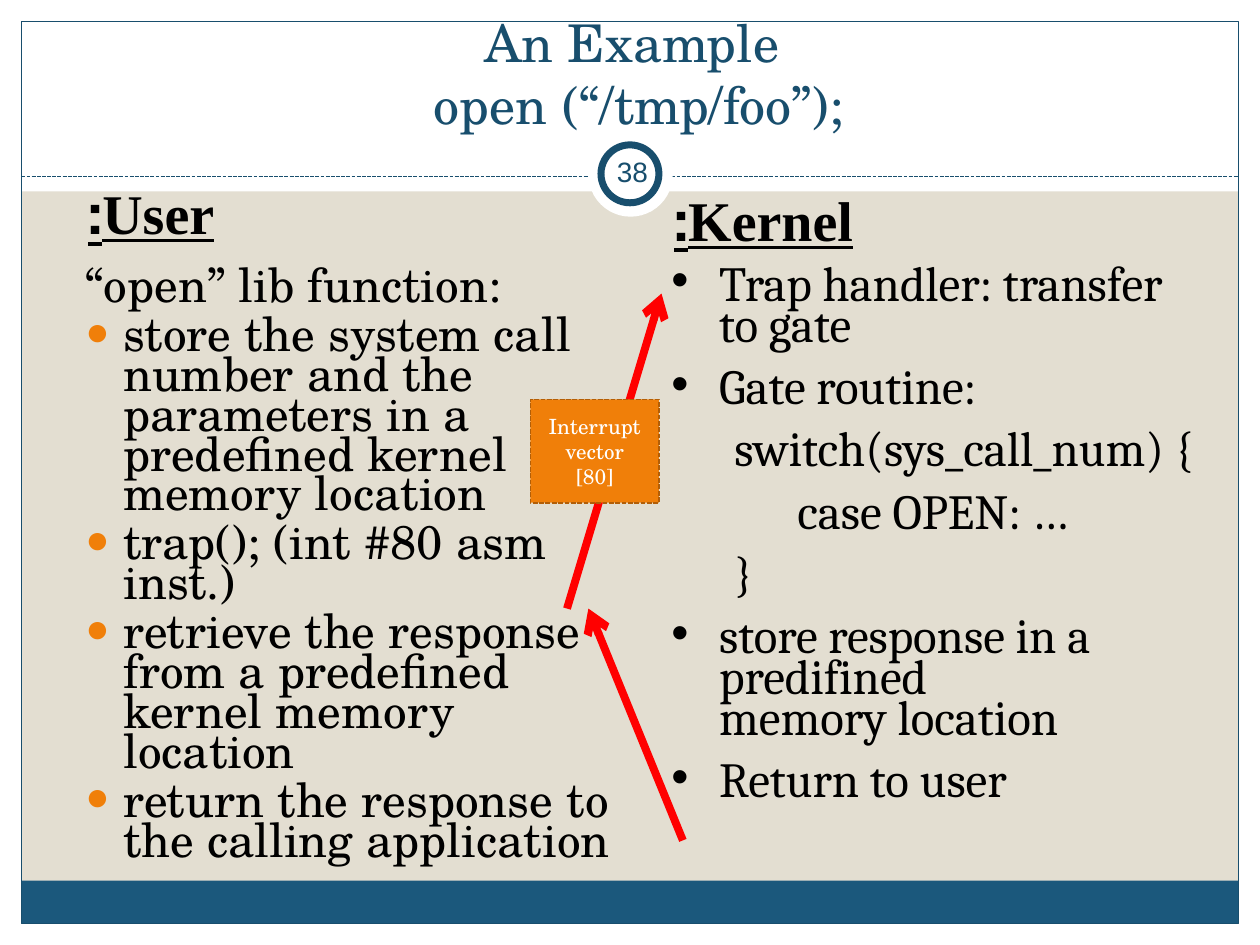
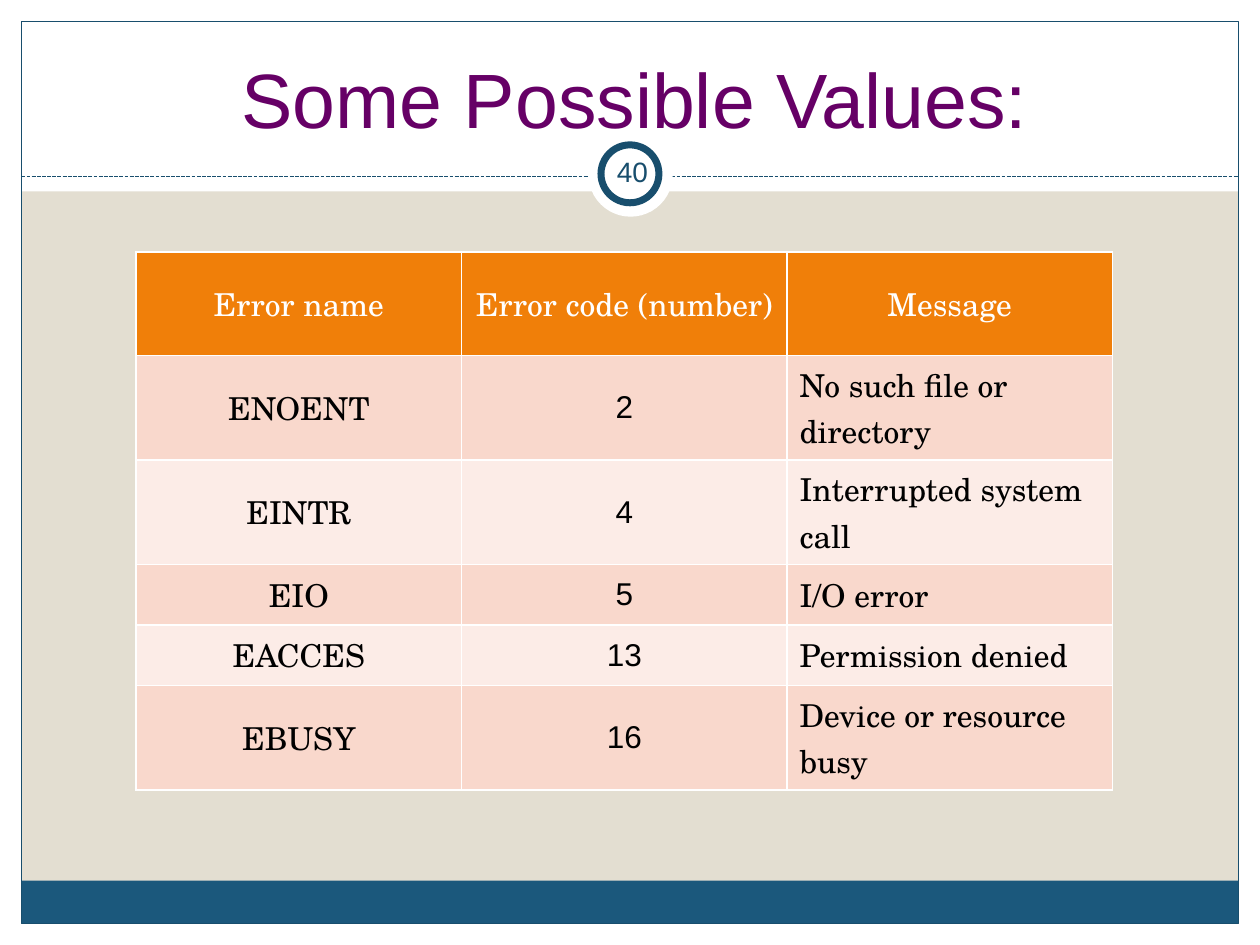
from lxml import etree
from pptx import Presentation
from pptx.dml.color import RGBColor
from pptx.enum.dml import MSO_LINE
from pptx.enum.shapes import MSO_CONNECTOR, MSO_SHAPE
from pptx.enum.text import MSO_ANCHOR as ANCHOR, PP_ALIGN as ALIGN
from pptx.oxml.ns import qn
from pptx.util import Inches, Pt

NAVY, BAND, SAND, ORANGE = "184E6D", "1B587C", "E3DED1", "F07F09"
WHITE, BLACK, RED, PURPLE = "FFFFFF", "000000", "FF0000", "660066"
SERIF, SANS = "TeX Gyre Schola", "Arial"


def rgb(color):
    return RGBColor.from_string(color)


def write(p, text, size, font, color, align=ALIGN.LEFT):
    p.alignment = align
    for i, line in enumerate(text.split("\n")):
        if i:
            p.add_line_break()
        r = p.add_run()
        r.text = line
        r.font.size, r.font.name = Pt(size), font
        r.font.color.rgb = rgb(color)


prs = Presentation()
prs.slide_width, prs.slide_height = Inches(10), Inches(7.5)

base_shapes = [
    (MSO_SHAPE.RECTANGLE, (0, 7.33, 10, 0.17), WHITE, 0),
    (MSO_SHAPE.RECTANGLE, (0, 0, 10, 1.52), WHITE, 0),
    (MSO_SHAPE.RECTANGLE, (0, 0, 0.17, 7.5), WHITE, 0),
    (MSO_SHAPE.RECTANGLE, (9.83, 0, 0.17, 7.5), WHITE, 0),
    (MSO_SHAPE.RECTANGLE, (0.17, 6.99, 9.66, 0.34), BAND, 0),
    (MSO_SHAPE.RECTANGLE, (0.17, 0.17, 9.66, 7.16), None, 0.75),
    (MSO_SHAPE.OVAL, (4.67, 1.05, 0.67, 0.67), WHITE, 0),
    (MSO_SHAPE.OVAL, (4.77, 1.15, 0.46, 0.46), WHITE, 4),
]
titles = [
    ("38", "An Example\n open (“/tmp/foo”);", (0.35, 0.29, 9.33, 0.83),
     29.7, SERIF, NAVY, ANCHOR.BOTTOM),
    ("40", "Some Possible Values:", (0.5, 0.3, 9.08, 0.95),
     44, SANS, PURPLE, ANCHOR.MIDDLE),
]

for number, title, box, size, font, color, anchor in titles:
    s = prs.slides.add_slide(prs.slide_layouts[6])
    s.background.fill.solid()
    s.background.fill.fore_color.rgb = rgb(SAND)
    for i, (kind, at, fill, width) in enumerate(base_shapes):
        if i == 6:
            rule = s.shapes.add_connector(
                MSO_CONNECTOR.STRAIGHT, Inches(0.17), Inches(1.4), Inches(9.83), Inches(1.4))
            rule.line.color.rgb = rgb(NAVY)
            rule.line.width = Pt(0.75)
            rule.line.dash_style = MSO_LINE.SQUARE_DOT
        sp = s.shapes.add_shape(kind, *map(Inches, at))
        sp.shadow.inherit = False
        if fill:
            sp.fill.solid()
            sp.fill.fore_color.rgb = rgb(fill)
        else:
            sp.fill.background()
        if width:
            sp.line.color.rgb = rgb(NAVY)
            sp.line.width = Pt(width)
        else:
            sp.line.fill.background()

    tf = s.shapes.add_textbox(*map(Inches, box)).text_frame
    tf.word_wrap, tf.vertical_anchor = True, anchor
    write(tf.paragraphs[0], title, size, font, color, ALIGN.CENTER)

    tf = s.shapes.add_textbox(*map(Inches, (4.77, 1.12, 0.5, 0.48))).text_frame
    tf.word_wrap, tf.vertical_anchor = True, ANCHOR.MIDDLE
    tf.margin_left = tf.margin_right = Inches(0.05)
    write(tf.paragraphs[0], number, 16, SANS, NAVY, ALIGN.CENTER)

example, values = prs.slides

user_steps = [
    ("“open” lib function:", 0, False),
    ("store the system call number and the parameters in a predefined kernel memory location", 0, True),
    ("trap(); (int #80 asm inst.)", 0, True),
    ("retrieve the response from a predefined kernel memory location", 0, True),
    ("return the response to the calling application", 0, True),
]
kernel_steps = [
    ("Trap handler: transfer to gate", 0, True),
    ("Gate routine:", 0, True),
    ("switch(sys_call_num) {", 1, False),
    ("case OPEN: …", 2, False),
    ("}", 1, False),
    ("store response in a predifined \nmemory location", 0, True),
    ("Return to user", 0, True),
]
columns = [
    ("User", (0.56, 1.37, 1.24, 0.64), (0.58, 2.1, 4.42, 4.95), user_steps,
     27, SERIF, 0.3, 5.4, 0, "●", ORANGE, 85),
    ("Kernel", (5.25, 1.42, 1.62, 0.64), (5.23, 2.08, 4.42, 4.95), kernel_steps,
     28, "Cambria", 0.38, 6, 6, "•", BLACK, 100),
]
for head, head_at, at, steps, size, font, indent, before, after, mark, mark_color, mark_size in columns:
    tf = example.shapes.add_textbox(*map(Inches, at)).text_frame
    tf.word_wrap = True
    for i, (step, level, bullet) in enumerate(steps):
        p = tf.add_paragraph() if i else tf.paragraphs[0]
        write(p, step, size, font, BLACK)
        p.level, p.line_spacing = level, 0.7
        p.space_before, p.space_after = Pt(before), Pt(after)
        pPr = p._p.get_or_add_pPr()
        pPr.set("marL", str(Inches(indent + level * 0.5)))
        pPr.set("indent", str(-Inches(indent)))
        if bullet:
            clr = etree.SubElement(pPr, qn("a:buClr"))
            etree.SubElement(clr, qn("a:srgbClr"), val=mark_color)
            etree.SubElement(pPr, qn("a:buSzPct"), val=str(mark_size * 1000))
            etree.SubElement(pPr, qn("a:buFont"), typeface=SANS)
            etree.SubElement(pPr, qn("a:buChar"), char=mark)
        else:
            etree.SubElement(pPr, qn("a:buNone"))

    tf = example.shapes.add_textbox(*map(Inches, head_at)).text_frame
    tf.word_wrap = False
    p = tf.paragraphs[0]
    for text, face in ((head, "Times New Roman"), (":", SANS)):
        write(p, text, 32, face, BLACK, ALIGN.RIGHT)
    for r in p.runs:
        r.font.bold = r.font.underline = True
    p._p.get_or_add_pPr().set("rtl", "1")

for ends in ((4.5, 4.83, 5.25, 2.33), (5.42, 6.67, 4.67, 4.83)):
    arrow = example.shapes.add_connector(MSO_CONNECTOR.STRAIGHT, *map(Inches, ends))
    arrow.line.color.rgb = rgb(RED)
    arrow.line.width = Pt(4.5)
    etree.SubElement(arrow.line._get_or_add_ln(), qn("a:tailEnd"), type="arrow")

sp = example.shapes.add_shape(MSO_SHAPE.RECTANGLE, *map(Inches, (4.21, 3.17, 1.02, 0.82)))
sp.shadow.inherit = False
sp.fill.solid()
sp.fill.fore_color.rgb = rgb(ORANGE)
sp.line.color.rgb = rgb("B25E07")
sp.line.width = Pt(0.9)
sp.line.dash_style = MSO_LINE.SQUARE_DOT
sp.text_frame.vertical_anchor = ANCHOR.MIDDLE
write(sp.text_frame.paragraphs[0], "Interrupt vector\n[80]", 12, SERIF, WHITE, ALIGN.CENTER)

errors = [
    ("Error name", "Error code (number)", "Message"),
    ("ENOENT", "2", "No such file or directory"),
    ("EINTR", "4", "Interrupted system call"),
    ("EIO", "5", "I/O error"),
    ("EACCES", "13", "Permission denied"),
    ("EBUSY", "16", "Device or resource busy"),
]
heights = (0.82, 0.83, 0.83, 0.48, 0.48, 0.83)
tbl = values.shapes.add_table(6, 3, *map(Inches, (1.08, 2, 7.75, 4.25))).table
tbl.first_row = tbl.horz_banding = False
for col in tbl.columns:
    col.width = Inches(7.75 / 3)
for i, (row, height) in enumerate(zip(errors, heights)):
    tbl.rows[i].height = Inches(height)
    for j, text in enumerate(row):
        cell = tbl.cell(i, j)
        cell.vertical_anchor = ANCHOR.MIDDLE
        p = cell.text_frame.paragraphs[0]
        write(p, text, 18, SANS if i and j == 1 else SERIF, BLACK if i else WHITE,
              ALIGN.LEFT if i and j == 2 else ALIGN.CENTER)
        tcPr = cell._tc.get_or_add_tcPr()
        for side in "LRTB":
            ln = etree.SubElement(tcPr, qn("a:ln" + side), w=str(Pt(1)))
            fill = etree.SubElement(ln, qn("a:solidFill"))
            etree.SubElement(fill, qn("a:srgbClr"), val=WHITE)
        cell.fill.solid()
        cell.fill.fore_color.rgb = rgb(("F9D8CC" if i % 2 else "FCECE7") if i else ORANGE)

for s in prs.slides:
    for line in s.shapes:
        if hasattr(line, "begin_x"):
            etree.SubElement(line._element.spPr, qn("a:effectLst"))

prs.save("out.pptx")
